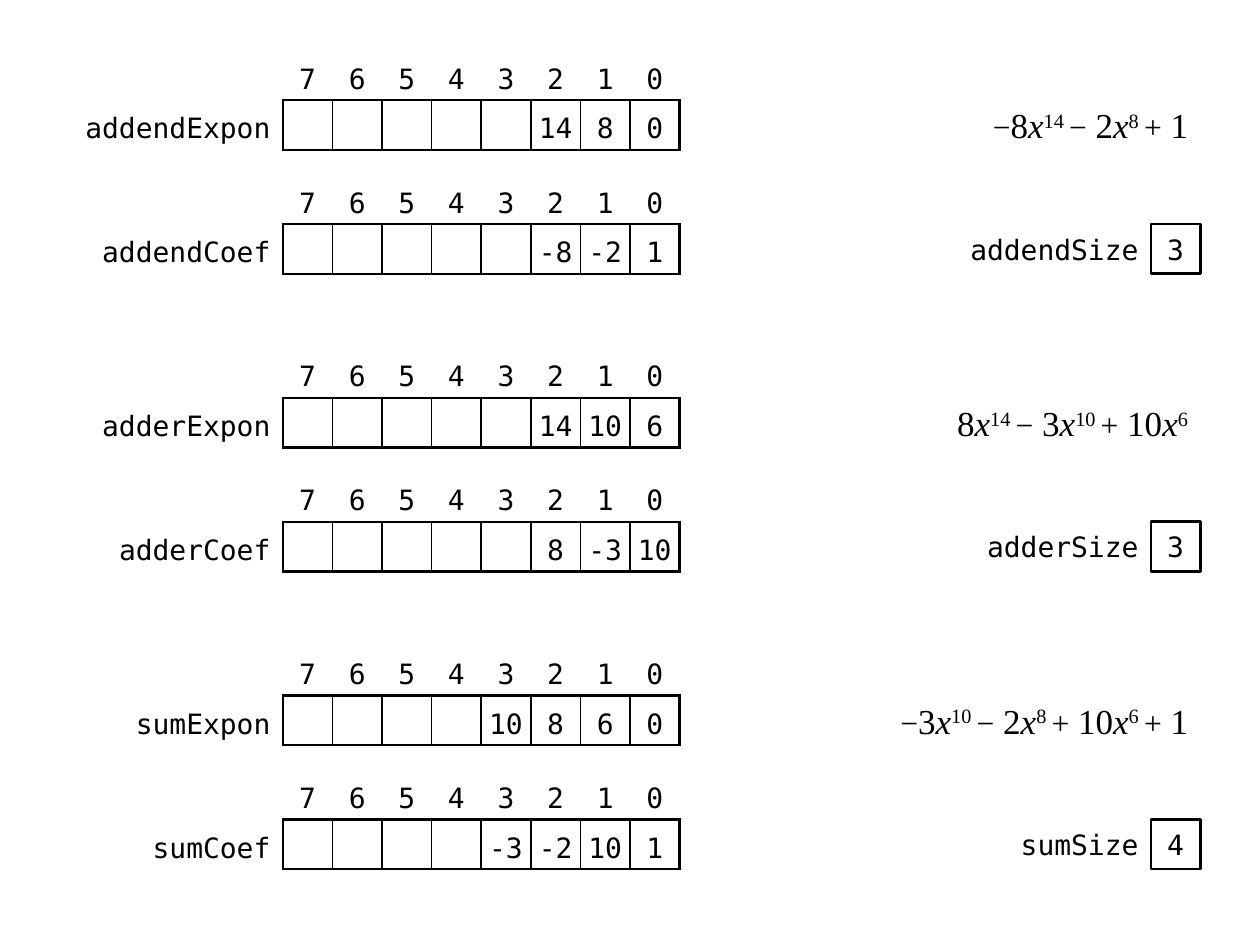
from lxml import etree
from pptx import Presentation
from pptx.dml.color import RGBColor
from pptx.enum.shapes import MSO_SHAPE
from pptx.enum.text import MSO_ANCHOR, PP_ALIGN
from pptx.oxml.ns import qn
from pptx.util import Cm, Pt

MIDDLE = MSO_ANCHOR.MIDDLE
CENTER, RIGHT = PP_ALIGN.CENTER, PP_ALIGN.RIGHT
RECTANGLE = MSO_SHAPE.RECTANGLE

BLACK, WHITE = "000000", "FFFFFF"
THICK, THIN = 1.5, 1
UNIT = 1
SLOTS = 8
ARRAY_RIGHT, SIZE_RIGHT = 13.7, 24.2
FIRST_TOP, POLYNOMIAL_PITCH, COEF_OFFSET = 1.02, 6, 2.5

MONO = {"name": "DejaVu Sans Mono", "size": Pt(16)}
MATH = {"name": "Times New Roman", "size": Pt(20)}
SIGN = {**MATH, "size": Pt(18)}
VARIABLE = {**MATH, "italic": True}
SLOT_FRAME = {"margin_left": 0, "margin_top": 0, "margin_right": 0,
              "margin_bottom": 0, "vertical_anchor": MIDDLE}
NAME_FRAME = {**SLOT_FRAME, "margin_left": Cm(0.1), "margin_right": Cm(0.25)}
TEXT_FRAME = {"margin_left": Cm(0.25), "margin_top": 0, "margin_right": Cm(0.25),
              "margin_bottom": 0, "vertical_anchor": MIDDLE, "word_wrap": True}

POLYNOMIALS = [
    {"name": "addend", "expons": [14, 8, 0], "coefs": [-8, -2, 1],
     "name_widths": (4.5, 4), "size_width": 4, "formula_width": 5},
    {"name": "adder", "expons": [14, 10, 6], "coefs": [8, -3, 10],
     "name_widths": (4, 3.5), "size_width": 4, "formula_width": 6},
    {"name": "sum", "expons": [10, 8, 6, 0], "coefs": [-3, -2, 10, 1],
     "name_widths": (3.5, 3), "size_width": 3, "formula_width": 9},
]


def color(value):
    """Return the colour for a hex string."""
    return RGBColor.from_string(value)


def apply_format(target, values):
    """Set every attribute named in values on target."""
    for name, value in values.items():
        setattr(target, name, value)


def add_run(paragraph, text, font, baseline=None):
    """Append a black run, raised by baseline when it is given."""
    run = paragraph.add_run()
    run.text = text
    apply_format(run.font, font)
    run.font.color.rgb = color(BLACK)
    if baseline:
        run.font._element.set("baseline", str(baseline))


def set_borders(cell, widths):
    """Draw the sides listed in widths and clear the others."""
    properties = cell._tc.get_or_add_tcPr()
    for side in "LRTB":
        width = widths.get(side, 0)
        line = etree.SubElement(properties, qn(f"a:ln{side}"), w=str(Pt(width)))
        if width:
            fill = etree.SubElement(line, qn("a:solidFill"))
            etree.SubElement(fill, qn("a:srgbClr"), val=BLACK)
        else:
            etree.SubElement(line, qn("a:noFill"))


def fill_cell(cell, text, frame, align, borders):
    """Give a cell its borders, layout and text."""
    set_borders(cell, borders)
    cell.fill.background()
    apply_format(cell, frame)
    paragraph = cell.text_frame.paragraphs[0]
    apply_format(paragraph, {"alignment": align, "line_spacing": 1.25})
    if text:
        add_run(paragraph, text, MONO)


def add_array(slide, right, top, name, name_width, values):
    """Place a named array with its indices above, values filling from the right."""
    width = name_width + SLOTS * UNIT
    table = slide.shapes.add_table(2, SLOTS + 1, Cm(right - width), Cm(top),
                                   Cm(width), Cm(2 * UNIT)).table
    apply_format(table, {"first_row": False, "horz_banding": False})
    for row in table.rows:
        row.height = Cm(UNIT)
    for column in table.columns:
        column.width = Cm(UNIT)
    table.columns[0].width = Cm(name_width)

    fill_cell(table.cell(0, 0), "", SLOT_FRAME, CENTER, {})
    fill_cell(table.cell(1, 0), name, NAME_FRAME, RIGHT, {"R": THICK})
    slots = [""] * (SLOTS - len(values)) + [str(value) for value in values]
    for position, value in enumerate(slots, start=1):
        fill_cell(table.cell(0, position), str(SLOTS - position), SLOT_FRAME,
                  CENTER, {"B": THICK})
        borders = {"L": THICK if position == 1 else THIN,
                   "R": THICK if position == SLOTS else THIN,
                   "T": THICK, "B": THICK}
        fill_cell(table.cell(1, position), value, SLOT_FRAME, CENTER, borders)


def add_right_text(slide, right, top, width):
    """Place a right-aligned text box and return its paragraph."""
    box = slide.shapes.add_textbox(Cm(right - width), Cm(top), Cm(width), Cm(UNIT))
    apply_format(box.text_frame, TEXT_FRAME)
    paragraph = box.text_frame.paragraphs[0]
    paragraph.alignment = RIGHT
    return paragraph


def add_formula(slide, right, top, width, coefs, expons):
    """Write the polynomial that the coefficients and exponents stand for."""
    paragraph = add_right_text(slide, right, top, width)
    last = len(coefs) - 1
    for index, (coef, expon) in enumerate(zip(coefs, expons)):
        if coef < 0 or index:
            add_run(paragraph, "−" if coef < 0 else "+", SIGN)
        add_run(paragraph, f"{' ' if index else ''}{abs(coef)}", MATH)
        if expon:
            add_run(paragraph, "x", VARIABLE)
            add_run(paragraph, f"{expon}{' ' if index < last else ''}", MATH, 30000)


def add_size(slide, right, top, name, name_width, count):
    """Place a boxed term count with its name to the left."""
    left = right - UNIT
    add_run(add_right_text(slide, left, top, name_width), name, MONO)
    box = slide.shapes.add_shape(RECTANGLE, Cm(left), Cm(top), Cm(UNIT), Cm(UNIT))
    box.shadow.inherit = False
    box.fill.solid()
    box.fill.fore_color.rgb = color(WHITE)
    box.line.color.rgb = color(BLACK)
    box.line.width = Pt(THICK)
    box.text_frame.vertical_anchor = MIDDLE
    paragraph = box.text_frame.paragraphs[0]
    paragraph.alignment = CENTER
    add_run(paragraph, str(count), MONO)


def add_polynomial(slide, top, polynomial):
    """Place both arrays, the formula and the size of one polynomial."""
    name, expons, coefs = (polynomial[key] for key in ("name", "expons", "coefs"))
    expon_width, coef_width = polynomial["name_widths"]
    coef_top = top + COEF_OFFSET
    add_array(slide, ARRAY_RIGHT, top, f"{name}Expon", expon_width, expons)
    add_array(slide, ARRAY_RIGHT, coef_top, f"{name}Coef", coef_width, coefs)
    add_formula(slide, SIZE_RIGHT, top + UNIT, polynomial["formula_width"], coefs, expons)
    add_size(slide, SIZE_RIGHT, coef_top + UNIT, f"{name}Size",
             polynomial["size_width"], len(coefs))


def main():
    """Build the slide and save it."""
    presentation = Presentation()
    apply_format(presentation, {"slide_width": Cm(25.4), "slide_height": Cm(19.05)})
    slide = presentation.slides.add_slide(presentation.slide_layouts[6])
    for index, polynomial in enumerate(POLYNOMIALS):
        add_polynomial(slide, FIRST_TOP + index * POLYNOMIAL_PITCH, polynomial)
    presentation.save("out.pptx")


if __name__ == "__main__":
    main()
